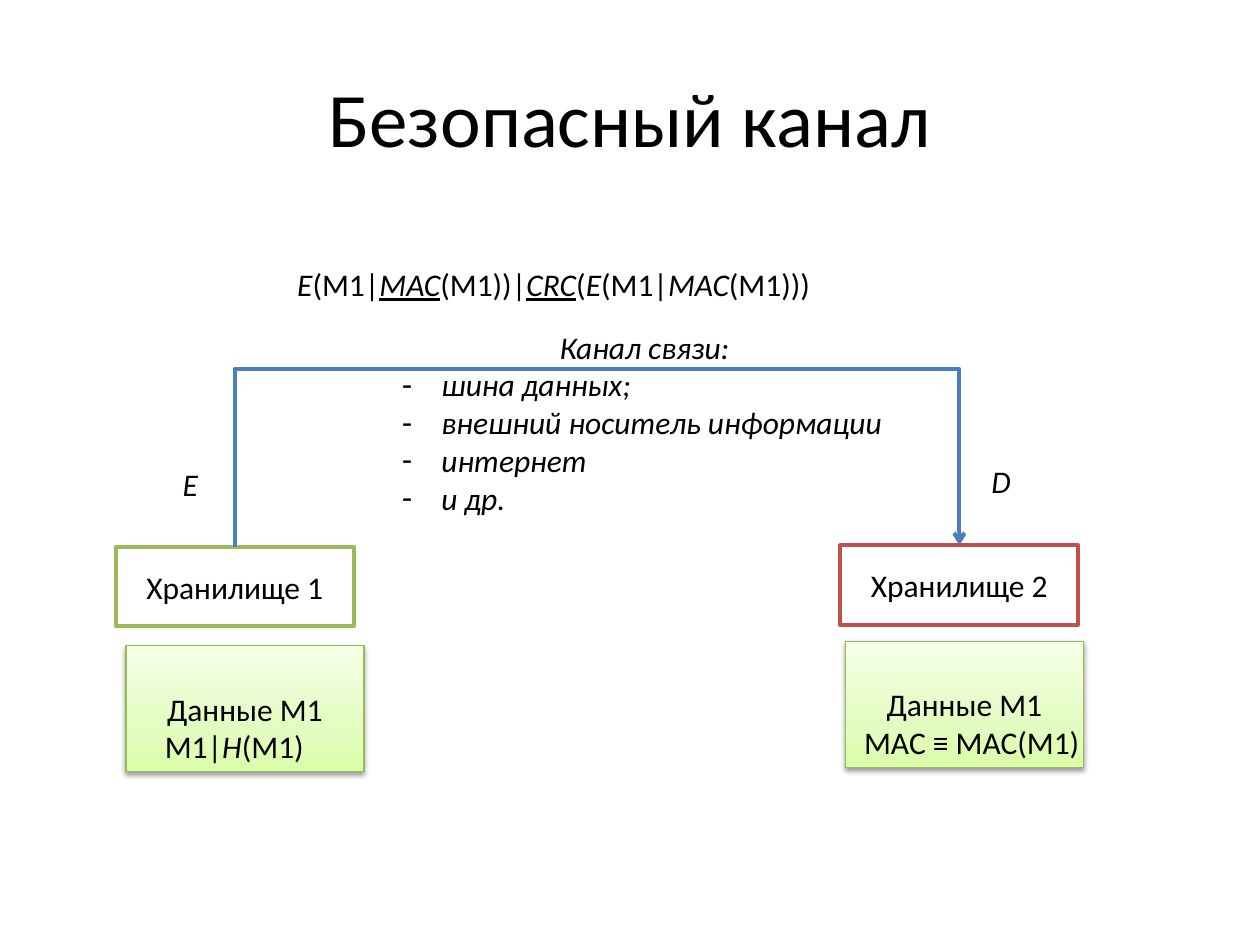
from dataclasses import dataclass

from lxml.etree import SubElement
from pptx import Presentation
from pptx.dml.color import RGBColor
from pptx.enum.shapes import MSO_CONNECTOR, MSO_SHAPE
from pptx.enum.text import MSO_ANCHOR, MSO_AUTO_SIZE, PP_ALIGN
from pptx.oxml import parse_xml
from pptx.oxml.ns import nsdecls, qn
from pptx.util import Pt


@dataclass(frozen=True)
class Theme:
    font: str = "Calibri"
    title_size: float = 44
    text_size: float = 18
    text: str = "000000"
    white: str = "FFFFFF"
    source: str = "9BBB59"
    target: str = "C0504D"
    channel: str = "4B7EBC"
    data_line: str = "98B955"
    data_stops: tuple = ((0, "DAFDA7"), (35, "E4FCC2"), (100, "F5FFE7"))
    line: float = 2.25
    thin_line: float = 0.75


class Deck:
    def __init__(self, theme, width, height):
        self.theme = theme
        self.prs = Presentation()
        self.prs.slide_width, self.prs.slide_height = Pt(width), Pt(height)
        self.s = None

    def add_slide(self):
        self.s = self.prs.slides.add_slide(self.prs.slide_layouts[1])

    def place(self, sp, left, top, width, height):
        sp.left, sp.top, sp.width, sp.height = map(Pt, (left, top, width, height))

    def add_runs(self, p, *runs, size=None, align=None):
        """Each run is a string, or (string, style) with style letters i and u."""
        p.alignment = align
        for run in runs:
            text, style = (run, "") if isinstance(run, str) else run
            r = p.add_run()
            r.text = text
            r.font.name, r.font.size = self.theme.font, Pt(size or self.theme.text_size)
            r.font.color.rgb = RGBColor.from_string(self.theme.text)
            r.font.italic, r.font.underline = "i" in style, "u" in style

    def title(self, text, *box):
        sp = self.s.shapes.title
        self.place(sp, *box)
        sp.text_frame.vertical_anchor = MSO_ANCHOR.MIDDLE
        self.add_runs(sp.text_frame.paragraphs[0], text,
                      size=self.theme.title_size, align=PP_ALIGN.CENTER)

    def dash_list(self, heading, items, *box, indent=22.5):
        sp = self.s.placeholders[1]
        self.place(sp, *box)
        tf = sp.text_frame
        tf.word_wrap, tf.auto_size = False, MSO_AUTO_SIZE.SHAPE_TO_FIT_TEXT
        for i, text in enumerate([heading, *items]):
            p = tf.add_paragraph() if i else tf.paragraphs[0]
            p.space_before = Pt(0)
            pPr = p._p.get_or_add_pPr()
            margin = Pt(indent) if i else 0
            pPr.set("marL", str(margin))
            pPr.set("indent", str(-margin))
            if i:
                SubElement(pPr, qn("a:buFontTx"))
                SubElement(pPr, qn("a:buChar"), char="-")
            else:
                SubElement(pPr, qn("a:buNone"))
            self.add_runs(p, (text, "i"), align=PP_ALIGN.LEFT if i else PP_ALIGN.CENTER)

    def label(self, left, top, width, *runs, height=29):
        sp = self.s.shapes.add_textbox(Pt(left), Pt(top), Pt(width), Pt(height))
        tf = sp.text_frame
        tf.word_wrap, tf.auto_size = False, MSO_AUTO_SIZE.SHAPE_TO_FIT_TEXT
        self.add_runs(tf.paragraphs[0], *runs)

    def box(self, text, left, top, width, height, color, weight):
        sp = self.s.shapes.add_shape(
            MSO_SHAPE.RECTANGLE, Pt(left), Pt(top), Pt(width), Pt(height))
        sp.shadow.inherit = False
        sp.fill.solid()
        sp.fill.fore_color.rgb = RGBColor.from_string(self.theme.white)
        sp.line.color.rgb = RGBColor.from_string(color)
        sp.line.width = Pt(weight)
        sp.text_frame.vertical_anchor = MSO_ANCHOR.MIDDLE
        self.add_runs(sp.text_frame.paragraphs[0], text, align=PP_ALIGN.CENTER)
        return sp

    def data_box(self, text, *box):
        sp = self.box(text, *box, self.theme.data_line, self.theme.thin_line)
        spPr = sp._element.spPr
        # Upward gradient
        stops = "".join(
            f'<a:gs pos="{pos * 1000}"><a:srgbClr val="{color}"/></a:gs>'
            for pos, color in self.theme.data_stops)
        solid = spPr.find(qn("a:solidFill"))
        spPr.replace(solid, parse_xml(
            f'<a:gradFill {nsdecls("a")} rotWithShape="1"><a:gsLst>{stops}</a:gsLst>'
            '<a:lin ang="16200000" scaled="0"/></a:gradFill>'))
        # Soft shadow below
        spPr.find(qn("a:effectLst")).append(parse_xml(
            f'<a:outerShdw {nsdecls("a")} blurRad="{Pt(3.1)}" dist="{Pt(1.6)}" '
            'dir="5400000" rotWithShape="0"><a:srgbClr val="000000">'
            '<a:alpha val="38000"/></a:srgbClr></a:outerShdw>'))

    def channel(self, start, end, apex):
        """Arrow from the top of start, up to apex, down to the top of end."""
        cn = self.s.shapes.add_connector(MSO_CONNECTOR.ELBOW, 0, 0, 0, 0)
        cn.begin_connect(start, 0)
        cn.end_connect(end, 0)
        x1, x2 = (sp.left + sp.width // 2 for sp in (start, end))
        span, rise = x2 - x1, start.top - end.top
        # A quarter turn makes the rise the width and the span the height
        cn.left, cn.top = (x1 + x2 - rise) // 2, (start.top + end.top - span) // 2
        cn.width, cn.height = rise, span
        spPr = cn._element.spPr
        xfrm = spPr.find(qn("a:xfrm"))
        for name, value in (("rot", "5400000"), ("flipH", "1"), ("flipV", "1")):
            xfrm.set(name, value)
        bend = round((start.top - Pt(apex)) / rise * 100000)
        geom = spPr.find(qn("a:prstGeom"))
        guides = geom.find(qn("a:avLst"))
        if guides is None:
            guides = SubElement(geom, qn("a:avLst"))
        SubElement(guides, qn("a:gd"), name="adj1", fmla=f"val {bend}")
        cn.line.color.rgb = RGBColor.from_string(self.theme.channel)
        cn.line.width = Pt(self.theme.line)
        SubElement(spPr.find(qn("a:ln")), qn("a:tailEnd"), type="arrow")
        SubElement(spPr, qn("a:effectLst"))


theme = Theme()
deck = Deck(theme, 720, 540)
deck.add_slide()

# Title and kinds of channel
deck.title("Безопасный канал", 36, 21.6, 648, 90)
deck.dash_list("Канал связи:",
               ["шина данных;", "внешний носитель информации", "интернет", "и др."],
               222.5, 183.6, 291.6, 116.6)

# Stores and the channel between them
BOX_W, STORE_H, DATA_H = 136, 45.36, 72
store1 = deck.box("Хранилище 1", 66.2, 312.5, BOX_W, STORE_H, theme.source, theme.line)
store2 = deck.box("Хранилище 2", 480.2, 311.58, BOX_W, STORE_H, theme.target, theme.line)
deck.channel(store1, store2, 209.5)

# Data held in each store
deck.data_box("Данные М1", 72, 369, BOX_W, DATA_H)
deck.data_box("Данные М1", 483.1, 366.5, BOX_W, DATA_H)
deck.label(87.1, 411.8, 95, "M1|", ("H", "i"), "(M1)")
deck.label(486.7, 409.7, 139.7, "MAC ≡ MAC(M1)")

# Message formula and channel ends
deck.label(162.7, 147.6, 310.3, ("E", "i"), "(M1|", ("MAC", "iu"), "(M1))|",
           ("CRC", "iu"), "(", ("E", "i"), "(M1|", ("MAC", "i"), "(M1)))")
deck.label(97.2, 262.1, 23, ("E", "i"))
deck.label(559.4, 260.6, 25.9, ("D", "i"))

deck.prs.save("out.pptx")
